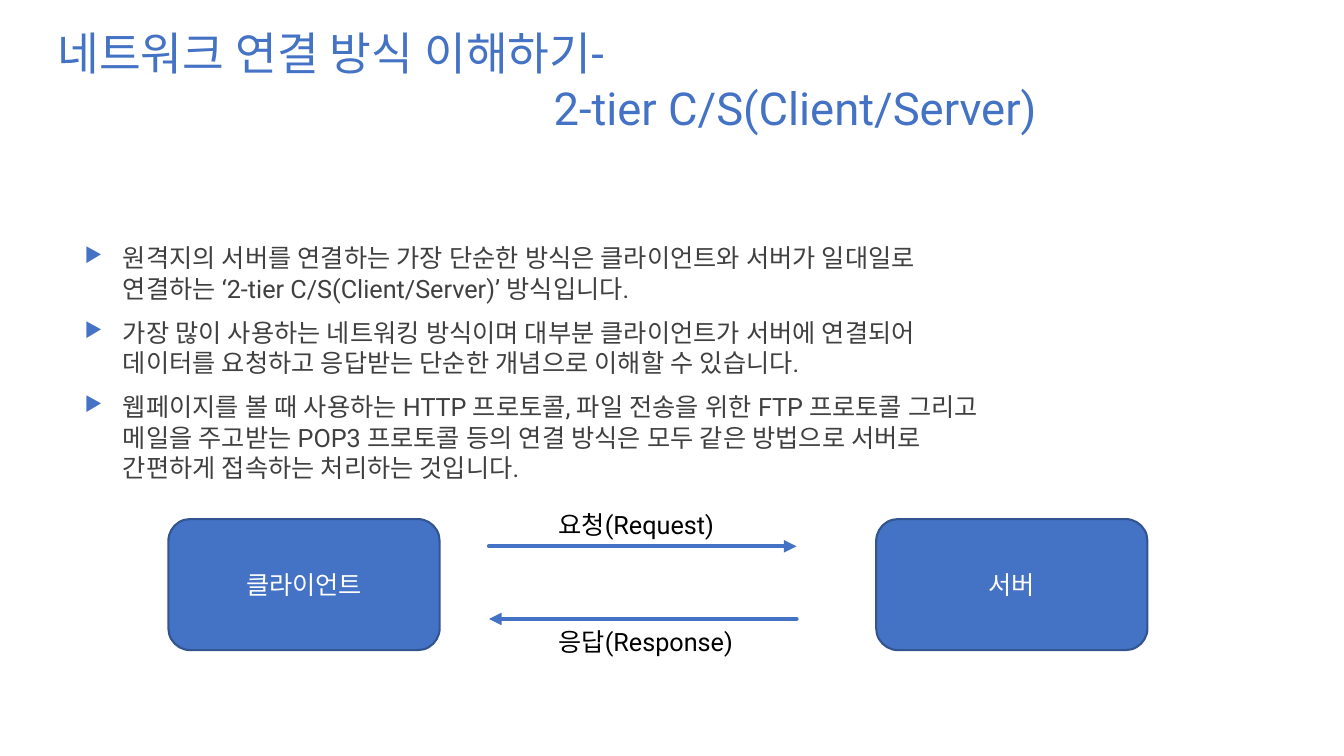
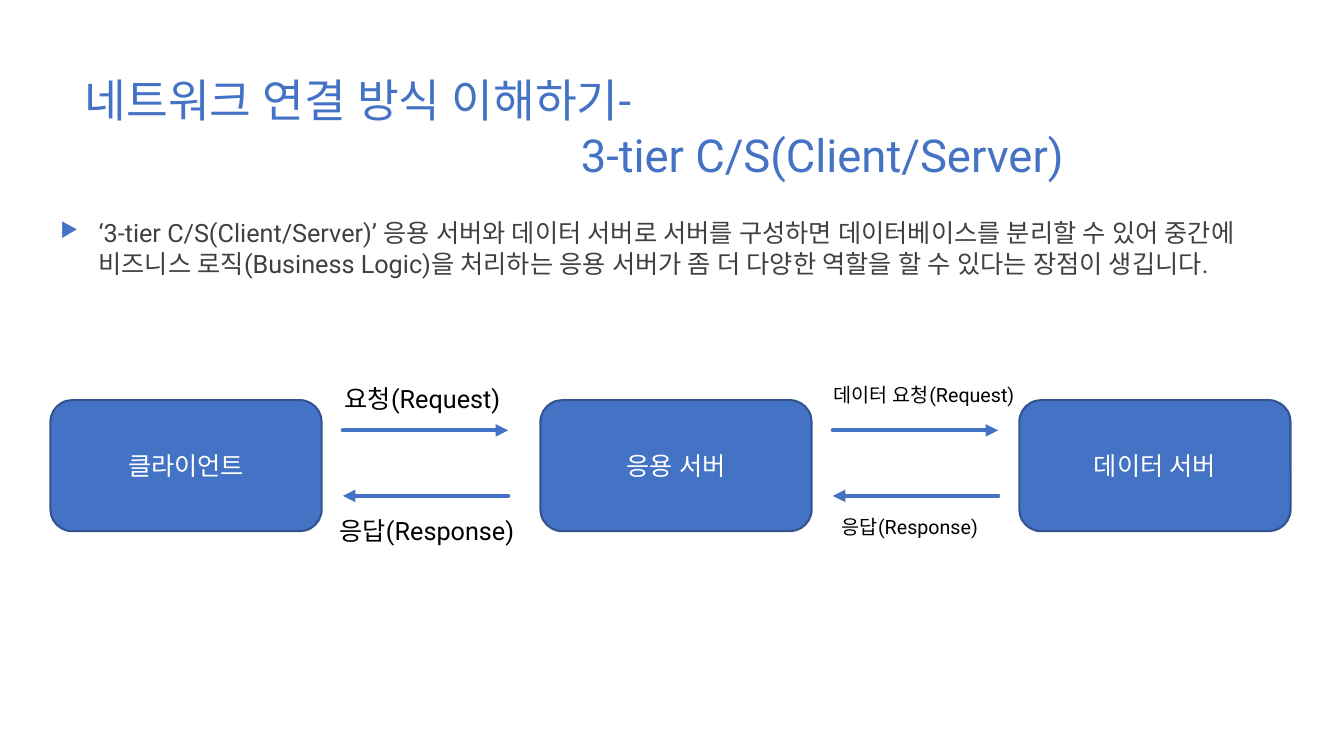
from dataclasses import dataclass

from pptx import Presentation
from pptx.dml.color import RGBColor
from pptx.enum.lang import MSO_LANGUAGE_ID as Language
from pptx.enum.shapes import MSO_CONNECTOR as Connector, MSO_SHAPE as Shape
from pptx.enum.text import MSO_ANCHOR as Anchor, MSO_AUTO_SIZE as AutoSize, PP_ALIGN as Align
from pptx.oxml.ns import qn
from pptx.util import Inches, Pt
from lxml.etree import SubElement


@dataclass(frozen=True)
class Theme:
    font: str = "Roboto"
    accent: str = "4472C4"
    outline: str = "325491"
    body: str = "404040"
    label: str = "000000"
    white: str = "FFFFFF"
    title_size: float = 32.4
    text_size: float = 18
    small_size: float = 14
    outline_width: float = 1.5
    arrow_width: float = 3


@dataclass(frozen=True)
class Label:
    text: str
    left: float
    width: float


@dataclass(frozen=True)
class Exchange:
    """A request arrow to the right above a response arrow to the left."""
    left: float
    right: float
    request: Label
    response: Label
    size: float


@dataclass(frozen=True)
class Rows:
    """Vertical places in a diagram, measured from the top of its nodes."""
    request_arrow: float
    response_arrow: float
    request_label: float
    response_label: float


THEME = Theme()
NODE_WIDTH, NODE_HEIGHT = 2.69, 1.3
TITLE_INDENT = 4.92
BULLET_INDENT = 0.38
TITLE_LEAD = "네트워크 연결 방식 이해하기-"


def color(value):
    return RGBColor.from_string(value)


def inches(*lengths):
    return [Inches(length) for length in lengths]


def add_run(para, text, size, fill):
    span = para.add_run()
    span.text = text
    font = span.font
    font.size = Pt(size)
    font.color.rgb = color(fill)
    font.name = THEME.font
    font.language_id = Language.KOREAN
    SubElement(font._element, qn("a:ea"), typeface=THEME.font)


def set_indent(para, margin, first=0.0):
    properties = para._p.get_or_add_pPr()
    properties.set("marL", str(Inches(margin)))
    properties.set("indent", str(Inches(first)))
    return properties


def add_bullet(para):
    properties = set_indent(para, BULLET_INDENT, -BULLET_INDENT)
    bullet_color = SubElement(properties, qn("a:buClr"))
    SubElement(bullet_color, qn("a:srgbClr"), val=THEME.accent)
    SubElement(properties, qn("a:buSzPct"), val="80000")
    SubElement(properties, qn("a:buChar"), char="▶")


def add_page(deck, subject, title_box):
    page = deck.slides.add_slide(deck.slide_layouts[5])
    title = page.shapes.title
    title.left, title.top, title.width, title.height = inches(*title_box)
    frame = title.text_frame
    frame.auto_size = AutoSize.NONE
    frame.vertical_anchor = Anchor.TOP
    lead, tail = frame.paragraphs[0], frame.add_paragraph()
    set_indent(tail, TITLE_INDENT)
    for para, text in ((lead, TITLE_LEAD), (tail, subject)):
        para.alignment = Align.LEFT
        add_run(para, text, THEME.title_size, THEME.accent)
    return page


def add_bullets(page, box, texts):
    frame = page.shapes.add_textbox(*inches(*box)).text_frame
    frame.word_wrap = True
    for index, text in enumerate(texts):
        para = frame.add_paragraph() if index else frame.paragraphs[0]
        add_bullet(para)
        if index:
            para.space_before = Pt(10)
        add_run(para, text, THEME.text_size, THEME.body)


def add_node(page, left, top, text):
    node = page.shapes.add_shape(
        Shape.ROUNDED_RECTANGLE, *inches(left, top, NODE_WIDTH, NODE_HEIGHT))
    node.shadow.inherit = False
    node.fill.solid()
    node.fill.fore_color.rgb = color(THEME.accent)
    node.line.color.rgb = color(THEME.outline)
    node.line.width = Pt(THEME.outline_width)
    frame = node.text_frame
    frame.vertical_anchor = Anchor.MIDDLE
    para = frame.paragraphs[0]
    para.alignment = Align.CENTER
    add_run(para, text, THEME.text_size, THEME.white)


def add_arrow(page, start, end, y):
    arrow = page.shapes.add_connector(Connector.STRAIGHT, *inches(start, y, end, y))
    arrow.line.color.rgb = color(THEME.accent)
    arrow.line.width = Pt(THEME.arrow_width)
    outline = arrow.line._get_or_add_ln()
    outline.set("cap", "rnd")
    SubElement(outline, qn("a:tailEnd"), type="triangle")
    SubElement(arrow._element.spPr, qn("a:effectLst"))


def add_label(page, label, top, size):
    height = 0.4 if size == THEME.text_size else 0.34
    box = page.shapes.add_textbox(*inches(label.left, top, label.width, height))
    frame = box.text_frame
    frame.word_wrap = False
    frame.auto_size = AutoSize.SHAPE_TO_FIT_TEXT
    add_run(frame.paragraphs[0], label.text, size, THEME.label)


def add_diagram(page, top, nodes, exchanges, rows):
    for left, text in nodes:
        add_node(page, left, top, text)
    for exchange in exchanges:
        add_arrow(page, exchange.left, exchange.right, top + rows.request_arrow)
        add_arrow(page, exchange.right, exchange.left, top + rows.response_arrow)
        add_label(page, exchange.request, top + rows.request_label, exchange.size)
        add_label(page, exchange.response, top + rows.response_label, exchange.size)


def build_two_tier(deck):
    page = add_page(deck, "2-tier C/S(Client/Server)", (0.47, 0.2, 12.36, 1.03))
    add_bullets(page, (0.74, 2.36, 9.4, 2.6), (
        "원격지의 서버를 연결하는 가장 단순한 방식은 클라이언트와 서버가 일대일로 "
        "연결하는 ‘2-tier C/S(Client/Server)’ 방식입니다.",
        "가장 많이 사용하는 네트워킹 방식이며 대부분 클라이언트가 서버에 연결되어 "
        "데이터를 요청하고 응답받는 단순한 개념으로 이해할 수 있습니다.",
        "웹페이지를 볼 때 사용하는 HTTP 프로토콜, 파일 전송을 위한 FTP 프로토콜 "
        "그리고 메일을 주고받는 POP3 프로토콜 등의 연결 방식은 모두 같은 방법으로 "
        "서버로 간편하게 접속하는 처리하는 것입니다.",
    ))
    add_diagram(
        page, 5.15,
        nodes=((1.67, "클라이언트"), (8.69, "서버")),
        exchanges=(
            Exchange(4.85, 7.9, Label("요청(Request)", 5.44, 1.81),
                     Label("응답(Response)", 5.44, 2.01), THEME.text_size),
        ),
        rows=Rows(0.27, 0.99, -0.15, 1.01))


def build_three_tier(deck):
    page = add_page(deck, "3-tier C/S(Client/Server)", (0.74, 0.67, 11.85, 1.44))
    add_bullets(page, (0.5, 2.11, 12.36, 0.8), (
        "‘3-tier C/S(Client/Server)’ 응용 서버와 데이터 서버로 서버를 구성하면 "
        "데이터베이스를 분리할 수 있어 중간에 비즈니스 로직(Business Logic)을 처리하는 "
        "응용 서버가 좀 더 다양한 역할을 할 수 있다는 장점이 생깁니다.",
    ))
    add_diagram(
        page, 3.97,
        nodes=((0.5, "클라이언트"), (5.36, "응용 서버"), (10.11, "데이터 서버")),
        exchanges=(
            Exchange(3.4, 5.04, Label("요청(Request)", 3.32, 1.81),
                     Label("응답(Response)", 3.27, 2.01), THEME.text_size),
            Exchange(8.26, 9.9, Label("데이터 요청(Request)", 8.17, 2.1),
                     Label("응답(Response)", 8.25, 1.61), THEME.small_size),
        ),
        rows=Rows(0.3, 0.95, -0.22, 1.09))


def main():
    deck = Presentation()
    deck.slide_width, deck.slide_height = inches(13.33, 7.5)
    build_two_tier(deck)
    build_three_tier(deck)
    deck.save("out.pptx")


if __name__ == "__main__":
    main()
